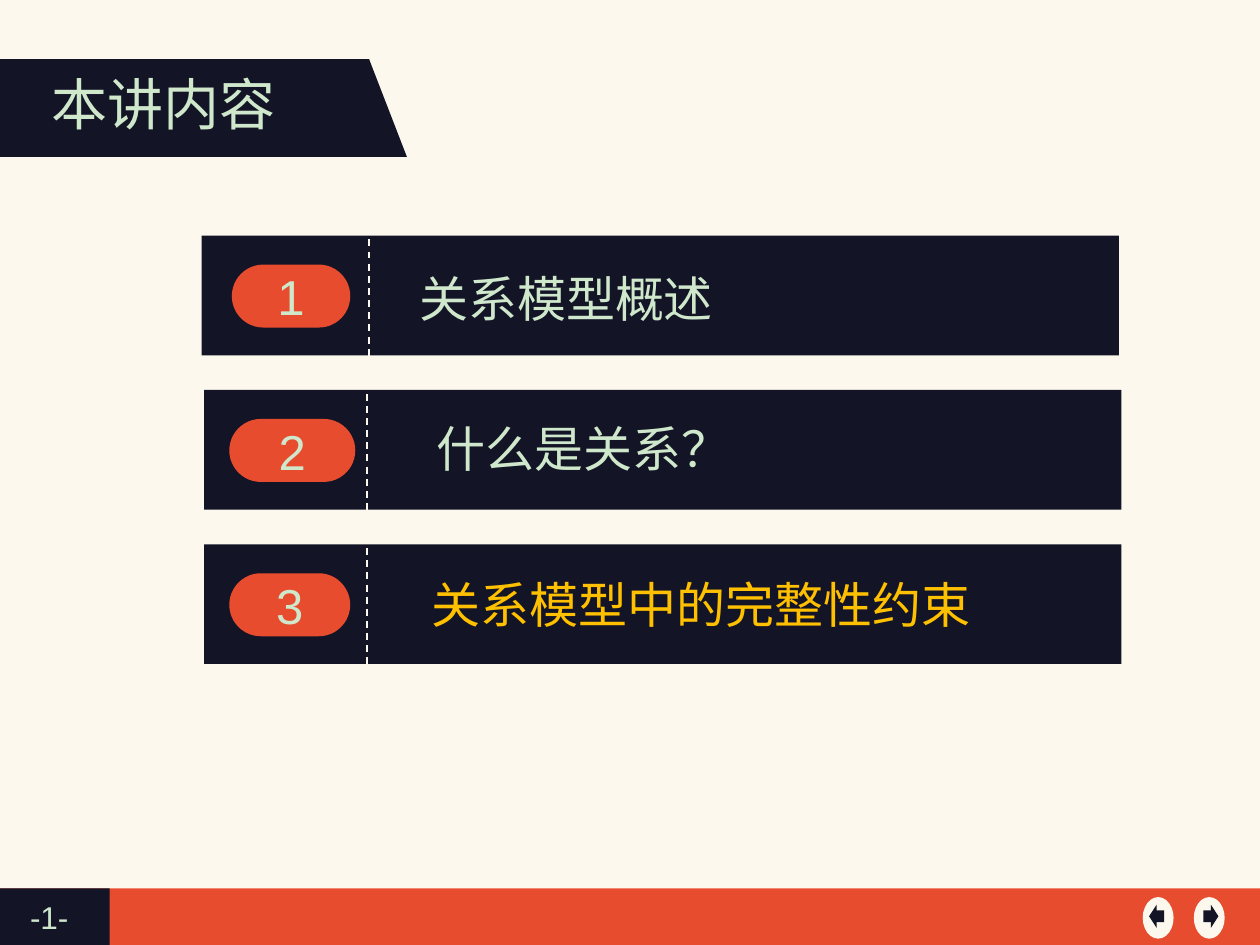
from dataclasses import dataclass

from lxml import etree
from pptx import Presentation
from pptx import util as u
from pptx.dml.color import RGBColor
from pptx.enum import dml, shapes, text
from pptx.oxml.ns import qn

WIDTH, HEIGHT = u.Inches(10), u.Inches(7.5)
COLUMNS, ROWS = 100, 75
SHAPE = shapes.MSO_SHAPE


@dataclass(frozen=True)
class Theme:
    background: str = "CFE8CC"
    paper: str = "FCF8ED"
    dark: str = "131426"
    accent: str = "E74C2E"
    light_text: str = "CFE8CC"
    highlight: str = "FFC000"
    latin: str = "Arial"
    chinese: str = "Noto Sans CJK SC"
    title_size: int = 32
    item_size: int = 28
    page_size: int = 18


THEME = Theme()

# number, label, label colour, bar left, divider, badge left, badge width,
# label left, label width, label drop below the bar's top
AGENDA = [
    ("1", "关系模型概述", THEME.light_text, 16, 29.3, 18.4, 9.4, 32.3, 51.3, 2.1),
    ("2", "什么是关系？", THEME.light_text, 16.2, 29.1, 18.2, 10, 33.7, 46.4, 1.8),
    ("3", "关系模型中的完整性约束", THEME.highlight, 16.2, 29.1, 18.2, 9.6, 33.3, 54.6, 1.9),
]
AGENDA_TOP, AGENDA_PITCH = 18.7, 12.25


def x(column):
    return u.Emu(round(WIDTH * column / COLUMNS))


def y(row):
    return u.Emu(round(HEIGHT * row / ROWS))


def grid_box(left, top, width, height):
    return x(left), y(top), x(width), y(height)


def add_block(slide, kind, box, color, flip=False):
    """Add a filled preset shape without outline or shadow."""
    shape = slide.shapes.add_shape(kind, *grid_box(*box))
    shape.shadow.inherit = False
    shape.fill.solid()
    shape.fill.fore_color.rgb = RGBColor.from_string(color)
    shape.line.fill.background()
    if flip:
        shape._element.spPr.find(qn("a:xfrm")).set("flipH", "1")
    return shape


def write(shape, words, size, font, color=THEME.light_text,
          align=text.PP_ALIGN.LEFT, anchor=text.MSO_ANCHOR.TOP, wrap=True):
    frame = shape.text_frame
    for name, value in {"word_wrap": wrap, "vertical_anchor": anchor}.items():
        setattr(frame, name, value)
    paragraph = frame.paragraphs[0]
    paragraph.alignment = align
    run = paragraph.add_run()
    run.text = words
    for name, value in {"size": u.Pt(size), "name": font}.items():
        setattr(run.font, name, value)
    run.font.color.rgb = RGBColor.from_string(color)
    east_asian = etree.SubElement(run._r.get_or_add_rPr(), qn("a:ea"))
    east_asian.set("typeface", font)


def add_label(slide, box, words, size, font, **style):
    write(slide.shapes.add_textbox(*grid_box(*box)), words, size, font, **style)


def add_divider(slide, column, top, bottom):
    line = slide.shapes.add_connector(
        shapes.MSO_CONNECTOR.STRAIGHT, x(column), y(top), x(column), y(bottom))
    line.line.color.rgb = RGBColor.from_string(THEME.paper)
    line.line.width = u.Pt(1)
    line.line.dash_style = dml.MSO_LINE.DASH
    etree.SubElement(line._element.spPr, qn("a:effectLst"))


def add_agenda_item(slide, top, number, label, color, bar_left, divider,
                    badge_left, badge_width, label_left, label_width, drop):
    add_block(slide, SHAPE.RECTANGLE, (bar_left, top, 72.8, 9.5), THEME.dark)
    add_divider(slide, divider, top + 0.3, top + 9.95)
    badge = add_block(slide, SHAPE.ROUNDED_RECTANGLE,
                      (badge_left, top + 2.3, badge_width, 5), THEME.accent)
    badge.adjustments[0] = 0.5
    write(badge, number, THEME.item_size, THEME.latin,
          align=text.PP_ALIGN.CENTER, anchor=text.MSO_ANCHOR.MIDDLE)
    add_label(slide, (label_left, top + drop, label_width, 5.7), label,
              THEME.item_size, THEME.chinese, color=color)


def add_title(slide):
    add_block(slide, SHAPE.RECTANGLE, (0, 4.7, 29.3, 7.75), THEME.dark)
    add_block(slide, SHAPE.RIGHT_TRIANGLE, (29.3, 4.7, 3, 7.75), THEME.dark)
    add_label(slide, (3.1, 5, 19.8, 6.4), "本讲内容", THEME.title_size,
              THEME.chinese, align=text.PP_ALIGN.CENTER, wrap=False)


def add_footer(slide):
    for width, color in ((COLUMNS, THEME.accent), (8.7, THEME.dark)):
        add_block(slide, SHAPE.RECTANGLE, (0, 70.5, width, 4.5), color)
    add_label(slide, (1.4, 70.8, 6.4, 4), "-1-", THEME.page_size, THEME.latin)
    for disc_left, arrow_left, flip in ((94.75, 95.5, False), (90.7, 91.2, True)):
        add_block(slide, SHAPE.OVAL, (disc_left, 71.2, 2.45, 3.3), THEME.paper, flip)
        add_block(slide, SHAPE.RIGHT_ARROW, (arrow_left, 71.8, 1.2, 1.85),
                  THEME.dark, flip)


def main():
    presentation = Presentation()
    presentation.slide_width, presentation.slide_height = WIDTH, HEIGHT
    slide = presentation.slides.add_slide(presentation.slide_layouts[6])
    slide.background.fill.solid()
    slide.background.fill.fore_color.rgb = RGBColor.from_string(THEME.background)
    add_block(slide, SHAPE.RECTANGLE, (0, 0, COLUMNS, ROWS), THEME.paper)
    add_footer(slide)
    add_title(slide)
    for index, item in enumerate(AGENDA):
        add_agenda_item(slide, AGENDA_TOP + index * AGENDA_PITCH, *item)
    presentation.save("out.pptx")


if __name__ == "__main__":
    main()
